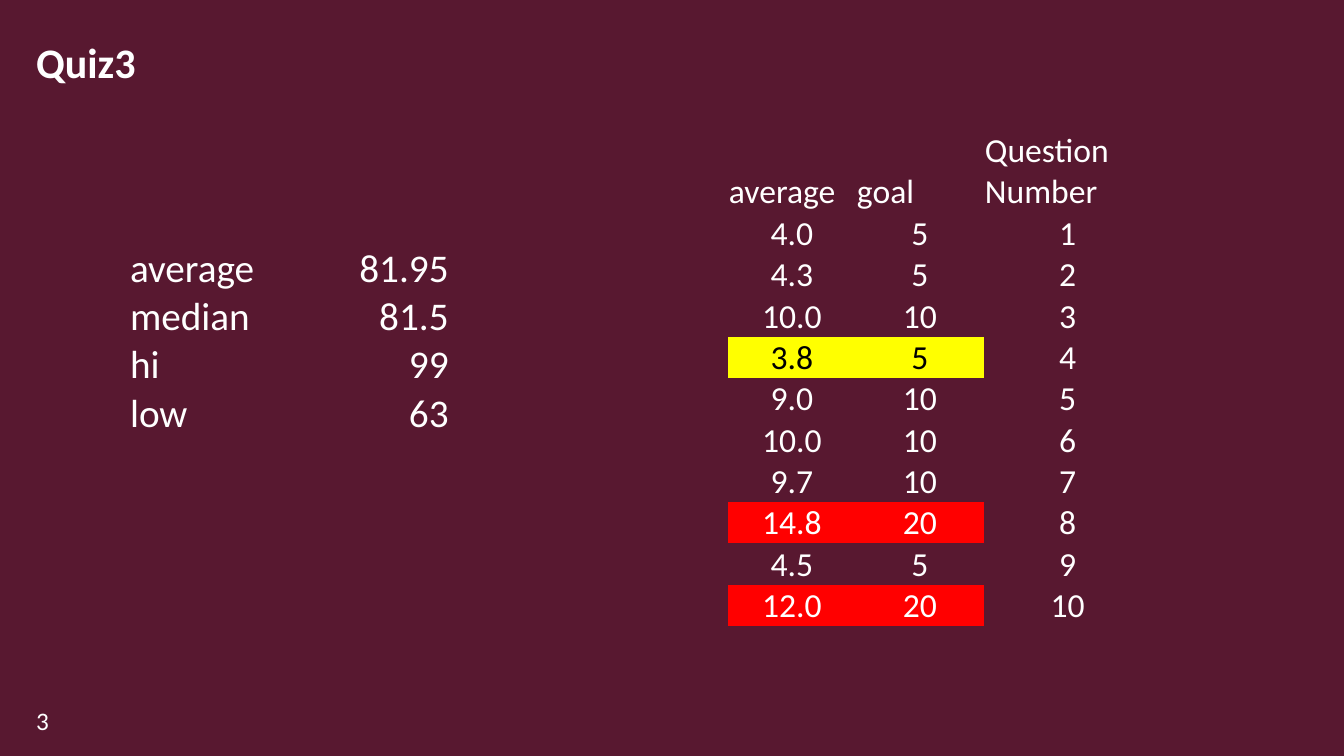
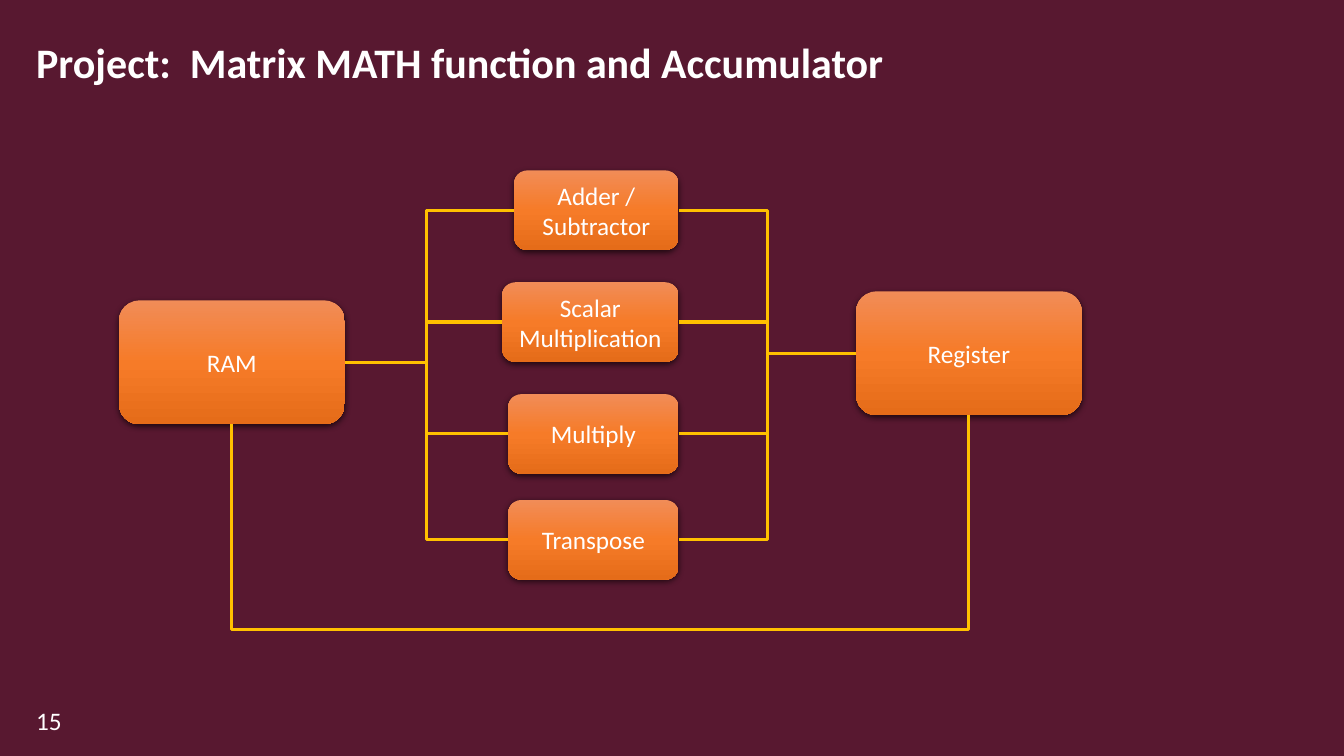
from dataclasses import dataclass

from pptx import Presentation
from pptx.dml.color import RGBColor
from pptx.enum.shapes import MSO_CONNECTOR as Connector, MSO_SHAPE as Preset
from pptx.enum.text import MSO_ANCHOR as Anchor, PP_ALIGN as Align
from pptx.oxml import parse_xml
from pptx.oxml.ns import nsdecls, qn
from pptx.util import Inches, Pt


@dataclass(frozen=True)
class Theme:
    font: str = "Calibri"
    background: str = "581830"
    text: str = "FFFFFF"
    dark_text: str = "000000"
    warning: str = "FFFF00"
    alert: str = "FF0000"
    wire: str = "FFC000"
    gradient: tuple = ((0, "F18C57"), (50, "F67B28"), (100, "E56C19"))
    title_size: int = 30
    summary_size: int = 28
    score_size: int = 24
    body_size: int = 18
    wire_width: float = 2.25
    plain_table: str = "{2D5ABB26-0587-4C30-8999-92F81FD0307C}"


SHADOW = (
    f'<a:effectLst {nsdecls("a")}><a:outerShdw blurRad="{Pt(4.5)}" dist="{Pt(1.5)}" '
    'dir="5400000" algn="ctr" rotWithShape="0"><a:srgbClr val="000000">'
    '<a:alpha val="63000"/></a:srgbClr></a:outerShdw></a:effectLst>'
)
NO_EFFECT = f'<a:effectLst {nsdecls("a")}/>'
TOP, LEFT, BOTTOM, RIGHT = range(4)  # connection sites of a box


class Deck:
    def __init__(self, theme):
        self.theme = theme
        self.file = Presentation()
        self.file.slide_width, self.file.slide_height = Inches(13.33), Inches(7.5)
        self.page = None

    def add_page(self, title, number):
        self.page = self.file.slides.add_slide(self.file.slide_layouts[6])
        fill = self.page.background.fill
        fill.solid()
        fill.fore_color.rgb = RGBColor.from_string(self.theme.background)
        self.add_text(str(number), 0.26, 6.95, 0.51, 0.4, self.theme.body_size)
        para = self.add_text(title, 0.26, 0.3, 12.81, 0.69,
                             self.theme.title_size, Anchor.MIDDLE)
        para.font.bold = True
        para.line_spacing = 0.9

    def set_text(self, frame, text, size, align=Align.LEFT, color=None):
        para = frame.paragraphs[0]
        para.text = text
        para.alignment = align
        para.font.name = self.theme.font
        para.font.size = Pt(size)
        para.font.color.rgb = RGBColor.from_string(color or self.theme.text)
        return para

    def add_text(self, text, left, top, width, height, size, anchor=Anchor.TOP):
        box = self.page.shapes.add_textbox(*map(Inches, (left, top, width, height)))
        frame = box.text_frame
        frame.word_wrap = True
        frame.vertical_anchor = anchor
        return self.set_text(frame, text, size)

    def add_table(self, rows, left, top, widths, heights, size, align, mark=None):
        """align(row, column) gives the alignment, mark(row, column) a fill or None."""
        holder = self.page.shapes.add_table(
            len(rows), len(widths), Inches(left), Inches(top),
            Inches(sum(widths)), Inches(sum(heights)))
        table = holder.table
        table.first_row = table.horz_banding = False
        table._tbl.tblPr.find(qn("a:tableStyleId")).text = self.theme.plain_table
        for column, width in zip(table.columns, widths):
            column.width = Inches(width)
        for row, height in zip(table.rows, heights):
            row.height = Inches(height)
        for r, values in enumerate(rows):
            for c, value in enumerate(values):
                cell = table.cell(r, c)
                cell.vertical_anchor = Anchor.BOTTOM
                cell.margin_left = cell.margin_right = cell.margin_top = Inches(0.01)
                cell.margin_bottom = 0
                color = mark(r, c) if mark else None
                if color:
                    cell.fill.solid()
                    cell.fill.fore_color.rgb = RGBColor.from_string(color)
                else:
                    cell.fill.background()
                ink = self.theme.dark_text if color == self.theme.warning else None
                self.set_text(cell.text_frame, value, size, align(r, c), ink)

    def add_box(self, text, left, top, width, height):
        box = self.page.shapes.add_shape(
            Preset.ROUNDED_RECTANGLE, *map(Inches, (left, top, width, height)))
        box.line.fill.background()
        stops = "".join(f'<a:gs pos="{at * 1000}"><a:srgbClr val="{color}"/></a:gs>'
                        for at, color in self.theme.gradient)
        properties = box.element.spPr
        properties.find(qn("a:prstGeom")).addnext(parse_xml(
            f'<a:gradFill {nsdecls("a")} rotWithShape="1"><a:gsLst>{stops}</a:gsLst>'
            '<a:lin ang="5400000" scaled="0"/></a:gradFill>'))
        properties.append(parse_xml(SHADOW))
        box.text_frame.word_wrap = True
        box.text_frame.vertical_anchor = Anchor.MIDDLE
        self.set_text(box.text_frame, text, self.theme.body_size, Align.CENTER)
        return box

    def add_wire(self, start, start_site, end, end_site):
        wire = self.page.shapes.add_connector(Connector.ELBOW, 0, 0, 0, 0)
        wire.begin_connect(start, start_site)
        wire.end_connect(end, end_site)
        wire.line.color.rgb = RGBColor.from_string(self.theme.wire)
        wire.line.width = Pt(self.theme.wire_width)
        wire.element.spPr.append(parse_xml(NO_EFFECT))
        return wire

    def bend(self, wire, ratio):
        geometry = wire.element.spPr.find(qn("a:prstGeom"))
        for guides in geometry.findall(qn("a:avLst")):
            geometry.remove(guides)
        geometry.append(parse_xml(
            f'<a:avLst {nsdecls("a")}><a:gd name="adj1" '
            f'fmla="val {round(ratio * 100000)}"/></a:avLst>'))

    def add_side_wire(self, start, end, bus):
        """Right side to left side, turning at the x position of the bus."""
        wire = self.add_wire(start, RIGHT, end, LEFT)
        self.bend(wire, (Inches(bus) - wire.begin_x) / (wire.end_x - wire.begin_x))

    def add_return_wire(self, start, end, lane):
        """Bottom to bottom, leftwards, running at the y position of the lane."""
        wire = self.add_wire(start, BOTTOM, end, BOTTOM)
        x, y = wire.begin_x, wire.begin_y
        run, drop = x - wire.end_x, wire.end_y - y
        # A quarter turn about the centre makes the wire leave downwards
        transform = wire.element.spPr.find(qn("a:xfrm"))
        transform.attrib.clear()
        transform.set("rot", "5400000")
        wire.left, wire.top = x - (run + drop) // 2, y + (drop - run) // 2
        wire.width, wire.height = drop, run
        self.bend(wire, (Inches(lane) - y) / drop)


def add_quiz_page(deck):
    theme = deck.theme
    deck.add_page("Quiz3", 3)

    # Score per question, marked where the average is far from the goal
    scores = [("4.0", 5), ("4.3", 5), ("10.0", 10), ("3.8", 5), ("9.0", 10),
              ("10.0", 10), ("9.7", 10), ("14.8", 20), ("4.5", 5), ("12.0", 20)]
    rows = [("average", "goal", "Question Number")]
    rows += [(average, str(goal), str(number))
             for number, (average, goal) in enumerate(scores, 1)]

    def mark(row, column):
        if row == 0 or column == 2:
            return None
        average, goal = scores[row - 1]
        share = float(average) / goal
        return theme.alert if share < 0.75 else theme.warning if share < 0.8 else None

    deck.add_table(rows, 7.22, 1.29, (1.27, 1.27, 1.66), [0.82] + [0.41] * len(scores),
                   theme.score_size,
                   lambda row, column: Align.CENTER if row else Align.LEFT, mark)

    # Summary of the whole quiz
    summary = [("average", "81.95"), ("median", "81.5"), ("hi", "99"), ("low", "63")]
    deck.add_table(summary, 1.28, 2.42, (1.59, 1.59), [0.48] * len(summary),
                   theme.summary_size,
                   lambda row, column: Align.RIGHT if column else Align.LEFT)


def add_project_page(deck):
    deck.add_page("Project:  Matrix MATH function and Accumulator", 15)

    # Storage at both ends, operations right-aligned between them
    ram = deck.add_box("RAM", 1.18, 2.98, 2.24, 1.23)
    operations_right = 6.73
    operations = [
        deck.add_box(text, operations_right - width, top, width, 0.79)
        for text, top, width in (("Adder / Subtractor", 1.69, 1.63),
                                 ("Scalar Multiplication", 2.8, 1.75),
                                 ("Multiply", 3.91, 1.69),
                                 ("Transpose", 4.96, 1.69))]
    register = deck.add_box("Register", 8.49, 2.89, 2.24, 1.23)

    # Wires in, out and back
    for operation in operations:
        deck.add_side_wire(ram, operation, 4.23)
        deck.add_side_wire(operation, register, 7.61)
    deck.add_return_wire(register, ram, 6.24)


def main():
    deck = Deck(Theme())
    add_quiz_page(deck)
    add_project_page(deck)
    deck.file.save("out.pptx")


if __name__ == "__main__":
    main()
